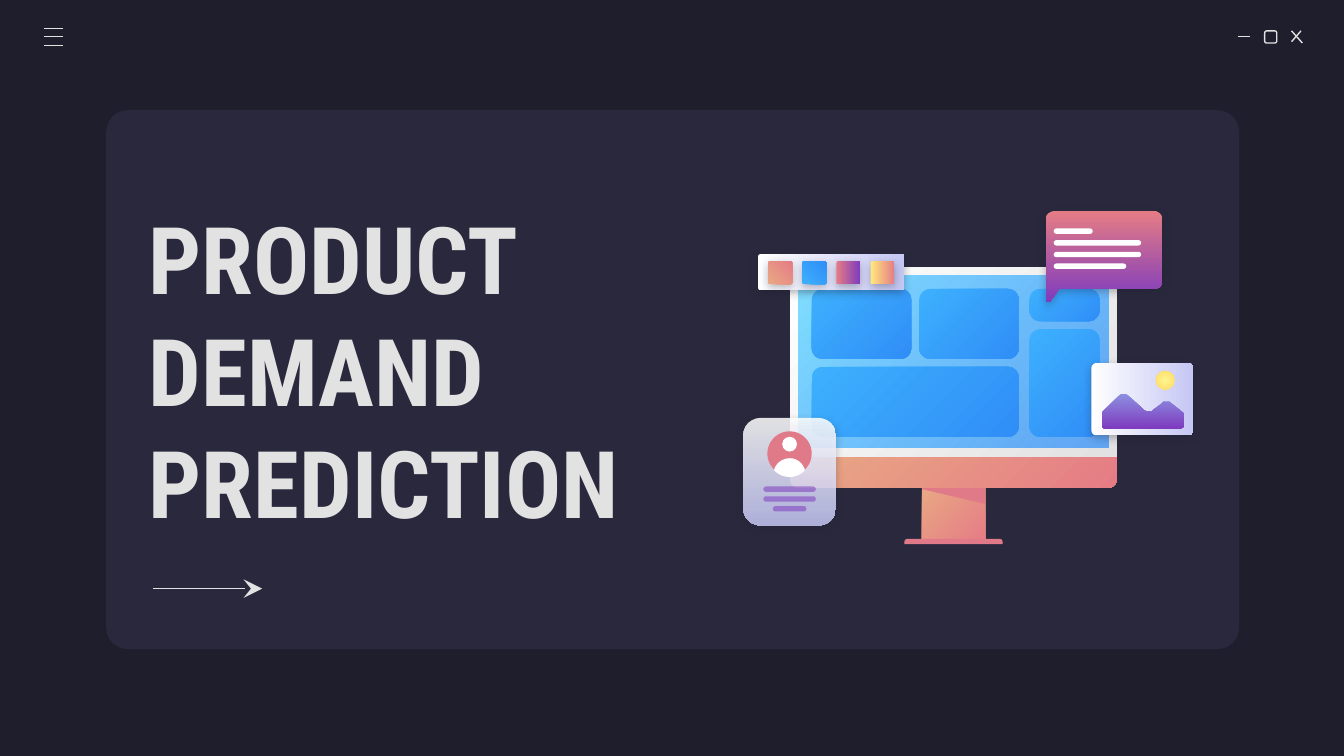
import collections
import pptx
import pptx.dml.color
import pptx.enum.shapes
import pptx.enum.text
import pptx.oxml
import pptx.oxml.ns
import pptx.oxml.xmlchemy
import pptx.util

RGBColor = pptx.dml.color.RGBColor
Kind = pptx.enum.shapes.MSO_SHAPE
NIGHT = RGBColor(0x1E, 0x1E, 0x2C)
PANEL = RGBColor(0x29, 0x28, 0x3D)
LIGHT = RGBColor(0xE2, 0xE2, 0xE2)
WHITE = RGBColor(0xFF, 0xFF, 0xFF)
LAVENDER = RGBColor(0xC5, 0xC7, 0xF4)
PERIWINKLE = RGBColor(0x8D, 0x90, 0xE1)
PURPLE = RGBColor(0x7E, 0x3B, 0xBE)
ROSE = RGBColor(0xE0, 0x7A, 0x88)
CORAL = RGBColor(0xE5, 0x7C, 0x85)
PEACH = RGBColor(0xE9, 0xA9, 0x84)
YELLOW = RGBColor(0xFF, 0xEA, 0x7D)
LEMON = RGBColor(0xFF, 0xF6, 0x8E)
GOLD = RGBColor(0xFF, 0xD9, 0x66)
AQUA = RGBColor(0x80, 0xDF, 0xFF)
AZURE = RGBColor(0x31, 0x8F, 0xFA)
SKY = RGBColor(0x3D, 0xB0, 0xFD)
BLUE = RGBColor(0x30, 0x8E, 0xF7)

Gradient = collections.namedtuple("Gradient", "start end angle")
WARM = Gradient(PEACH, CORAL, 45)
TILE = Gradient(SKY, BLUE, 45)
PAPER = Gradient(WHITE, LAVENDER, 90)
SUNSET = Gradient(CORAL, PURPLE, 90)

TITLE = "PRODUCT DEMAND PREDICTION"
MENU_LINES = [(0.33, y, 0.47, y) for y in (0.21, 0.34, 0.27)]
WINDOW_LINES = [(9.21, 0.27, 9.3, 0.27), (9.61, 0.23, 9.69, 0.32), (9.68, 0.23, 9.61, 0.31)]
TILES = [(6.04, 2.15, 0.74, 0.52), (6.04, 2.73, 1.54, 0.52), (6.84, 2.15, 0.74, 0.52),
         (7.66, 2.15, 0.52, 0.24), (7.66, 2.45, 0.52, 0.8)]
MESSAGE_WIDTHS = [0.29, 0.65, 0.65, 0.54]
PROFILE_BARS = [(5.68, 0.39), (5.68, 0.39), (5.75, 0.25)]
SWATCHES = [WARM, TILE, SUNSET, Gradient(YELLOW, CORAL, 90)]

STAND_SHADE = [(6.86, 3.61), (6.86, 3.64), (7.33, 3.75), (7.33, 3.61)]
BUBBLE = [(7.85, 1.57), (7.81, 1.57, 7.78, 1.6, 7.78, 1.64), (7.78, 2.24),
          (7.78, 2.25, 7.79, 2.25, 7.8, 2.25), (7.81, 2.25), (7.88, 2.15), (8.59, 2.15),
          (8.62, 2.15, 8.65, 2.12, 8.65, 2.09), (8.65, 1.64),
          (8.65, 1.6, 8.62, 1.57, 8.59, 1.57)]
SHOULDERS = [(5.88, 3.41), (5.82, 3.41, 5.77, 3.45, 5.76, 3.5),
             (5.79, 3.53, 5.83, 3.55, 5.88, 3.55), (5.92, 3.55, 5.96, 3.53, 5.99, 3.5),
             (5.98, 3.45, 5.93, 3.41, 5.88, 3.41)]
MOUNTAINS = [(8.36, 2.93), (8.35, 2.93, 8.34, 2.93, 8.33, 2.94), (8.21, 3.06),
             (8.2, 3.07, 8.2, 3.07, 8.2, 3.08), (8.2, 3.16),
             (8.2, 3.18, 8.21, 3.19, 8.23, 3.19), (8.77, 3.19),
             (8.79, 3.19, 8.81, 3.18, 8.81, 3.16), (8.81, 3.09),
             (8.81, 3.08, 8.8, 3.07, 8.8, 3.07), (8.7, 2.99),
             (8.69, 2.99, 8.68, 2.99, 8.67, 2.99), (8.66, 2.99, 8.65, 2.99, 8.65, 3),
             (8.57, 3.06), (8.56, 3.06, 8.55, 3.06, 8.54, 3.06),
             (8.53, 3.06, 8.52, 3.06, 8.51, 3.05), (8.39, 2.94),
             (8.38, 2.93, 8.37, 2.93, 8.36, 2.93)]


def length(inches):
    return pptx.util.Cm(inches * 2.54)


def add_xml(parent, tag, **attributes):
    element = pptx.oxml.xmlchemy.OxmlElement(tag)
    for name, value in attributes.items():
        element.set(name, str(value))
    parent.append(element)
    return element


def paint(shape, fill, alphas=(), shadow=False):
    shape.shadow.inherit = False
    shape.line.fill.background()
    if fill is None:
        shape.fill.background()
    elif isinstance(fill, Gradient):
        shape.fill.gradient()
        shape.fill.gradient_angle = (360 - fill.angle) % 360
        for stop, color in zip(shape.fill.gradient_stops, fill):
            stop.color.rgb = color
    else:
        shape.fill.solid()
        shape.fill.fore_color.rgb = fill
    properties = shape.element.spPr
    for color, alpha in zip(list(properties.iter(pptx.oxml.ns.qn("a:srgbClr"))), alphas):
        add_xml(color, "a:alpha", val=alpha * 1000)
    if shadow:
        effects = properties.find(pptx.oxml.ns.qn("a:effectLst"))
        outer = add_xml(effects, "a:outerShdw", blurRad=57150, dist=19050, dir=5400000,
                        algn="bl", rotWithShape=0)
        add_xml(add_xml(outer, "a:srgbClr", val=NIGHT), "a:alpha", val=30000)
    return shape


def add_block(shapes, kind, box, fill, adjustments=(), rotation=0, **look):
    shape = shapes.add_shape(kind, *map(length, box))
    for index, value in enumerate(adjustments):
        shape.adjustments[index] = value
    shape.rotation = rotation
    return paint(shape, fill, **look)


def add_rounded(shapes, box, fill, ratio, **look):
    return add_block(shapes, Kind.ROUNDED_RECTANGLE, box, fill, [ratio], **look)


def add_outline(shapes, outline, fill, **look):
    points = [outline[0]]
    for step in outline[1:]:
        if len(step) == 2:
            points.append(step)
            continue
        curve = [points[-1], step[:2], step[2:4], step[4:]]
        for t in (part / 8 for part in range(1, 9)):
            weights = ((1 - t) ** 3, 3 * t * (1 - t) ** 2, 3 * t * t * (1 - t), t ** 3)
            points.append(tuple(sum(w * p[axis] for w, p in zip(weights, curve))
                                for axis in (0, 1)))
    corners = [(length(x), length(y)) for x, y in points]
    builder = shapes.build_freeform(*corners[0], scale=1.0)
    builder.add_line_segments(corners[1:], close=True)
    return paint(builder.convert_to_shape(), fill, **look)


def add_line(shapes, ends):
    line = shapes.add_connector(pptx.enum.shapes.MSO_CONNECTOR.STRAIGHT, *map(length, ends))
    line.line.color.rgb = LIGHT
    line.line.width = pptx.util.Pt(0.75)
    add_xml(line.element.spPr, "a:effectLst")
    return line


presentation = pptx.Presentation()
presentation.slide_width, presentation.slide_height = length(10), length(5.625)
slide = presentation.slides.add_slide(presentation.slide_layouts[6])
slide.background.fill.solid()
slide.background.fill.fore_color.rgb = NIGHT


def add_group():
    return slide.shapes.add_group_shape().shapes


add_rounded(slide.shapes, (0.79, 0.82, 8.43, 4.01), PANEL, 0.04)

window = add_group()
for ends in WINDOW_LINES:
    add_line(window, ends)
maximize = add_rounded(window, (9.41, 0.23, 0.09, 0.09), None, 0.167)
maximize.line.color.rgb = LIGHT
maximize.line.width = pptx.util.Pt(0.75)

title = slide.shapes.add_textbox(*map(length, (1.01, 1.44, 4.47, 2.61)))
frame = title.text_frame
frame.text = TITLE
frame.word_wrap = True
frame.vertical_anchor = pptx.enum.text.MSO_ANCHOR.MIDDLE
frame.margin_left = frame.margin_right = frame.margin_top = frame.margin_bottom = length(0.1)
font = frame.paragraphs[0].runs[0].font
font.name, font.size, font.bold = "Roboto Condensed", pptx.util.Pt(50), True
font.color.rgb = LIGHT

monitor = add_group()
TOP_ROUND = Kind.ROUND_2_SAME_RECTANGLE
add_block(monitor, Kind.RECTANGLE, (6.86, 3.61, 0.47, 0.43), WARM)
add_block(monitor, TOP_ROUND, (6.73, 4.01, 0.73, 0.04), ROSE, [0.5, 0])
add_outline(monitor, STAND_SHADE, ROSE)
add_block(monitor, TOP_ROUND, (5.88, 3.39, 2.43, 0.24), WARM, [0, 0.25])
add_block(monitor, TOP_ROUND, (5.88, 1.99, 2.43, 1.41), Gradient(WHITE, LIGHT, 45), [0.04, 0])
add_block(monitor, Kind.RECTANGLE, (5.94, 2.05, 2.31, 1.28), Gradient(AQUA, AZURE, 45),
          alphas=(100, 72))
for box in TILES:
    add_rounded(monitor, box, TILE, 0.08 / min(box[2:]))

message = add_group()
add_outline(message, BUBBLE, SUNSET, shadow=True)
for row, width in enumerate(MESSAGE_WIDTHS):
    add_rounded(message, (7.84, 1.7 + 0.087 * row, width, 0.04), WHITE, 0.5)

menu = add_group()
for ends in MENU_LINES:
    add_line(menu, ends)

profile = add_group()
add_rounded(profile, (5.53, 3.11, 0.69, 0.8), PAPER, 0.187, alphas=(86, 86), shadow=True)
add_block(profile, Kind.OVAL, (5.71, 3.21, 0.33, 0.33), ROSE)
add_block(profile, Kind.OVAL, (5.82, 3.25, 0.11, 0.11), WHITE)
add_outline(profile, SHOULDERS, WHITE)
for row, (left, width) in enumerate(PROFILE_BARS):
    add_rounded(profile, (left, 3.62 + 0.073 * row, width, 0.04), PURPLE, 0.5, alphas=(54,))

photo = add_group()
add_rounded(photo, (8.23, 2.59, 0.54, 0.76), PAPER, 0.073, rotation=270, shadow=True)
add_outline(photo, MOUNTAINS, Gradient(PERIWINKLE, PURPLE, 90))
sun = add_block(photo, Kind.OVAL, (8.6, 2.76, 0.14, 0.14), Gradient(LEMON, GOLD, 0))
gradient = sun.element.spPr.find(pptx.oxml.ns.qn("a:gradFill"))
gradient.remove(gradient.find(pptx.oxml.ns.qn("a:lin")))
add_xml(add_xml(gradient, "a:path", path="circle"), "a:fillToRect",
        l=50000, t=50000, r=50000, b=50000)

palette = add_group()
add_rounded(palette, (6.05, 1.48, 0.27, 1.09), PAPER, 0.073, rotation=270, shadow=True)
for column, fill in enumerate(SWATCHES):
    add_rounded(palette, (5.72 + 0.254 * column, 1.94, 0.17, 0.18), fill, 0.073,
                rotation=270, shadow=True)

arrow = add_line(slide.shapes, (1.14, 4.38, 1.95, 4.38))
add_xml(arrow.line._get_or_add_ln(), "a:tailEnd", type="stealth", w="lg", len="lg")

presentation.save("out.pptx")
